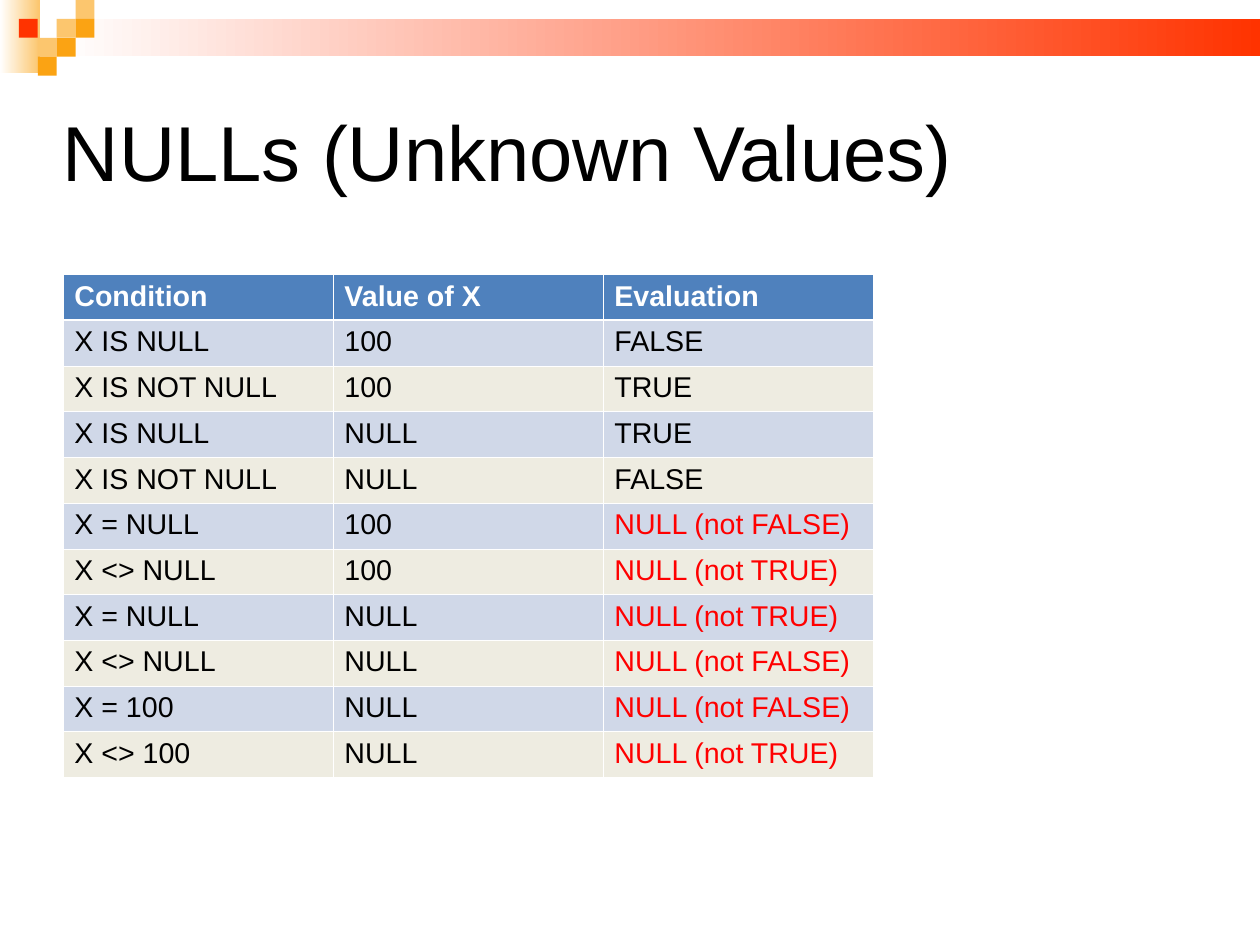
import pptx
import pptx.dml.color
import pptx.enum.shapes
import pptx.enum.text
import pptx.oxml
import pptx.oxml.ns
import pptx.util

Cm = pptx.util.Cm
Pt = pptx.util.Pt


def rgb(value):
    return pptx.dml.color.RGBColor.from_string(value)


def add_rect(shapes, x, y, w, h, color, fade=False):
    sp = shapes.add_shape(pptx.enum.shapes.MSO_SHAPE.RECTANGLE,
                          Cm(x), Cm(y), Cm(w), Cm(h))
    sp.shadow.inherit = False
    sp.line.fill.background()
    if fade:
        sp.fill.gradient()
        sp.fill.gradient_angle = 0
        for stop, stop_color in zip(sp.fill.gradient_stops, ("FFFFFF", color)):
            stop.color.rgb = rgb(stop_color)
    else:
        sp.fill.solid()
        sp.fill.fore_color.rgb = rgb(color)


prs = pptx.Presentation()
prs.slide_width = Cm(28)
prs.slide_height = Cm(21)
s = prs.slides.add_slide(prs.slide_layouts[5])

# Header band and squares on a grid
add_rect(s.shapes, 0, 0, 0.88, 1.62, "FCC66E", fade=True)
add_rect(s.shapes, 1.26, 0.42, 26.74, 0.83, "FF3300", fade=True)
unit = 0.42
squares = [
    (3, 1, "FCC66E"), (4, 0, "FCC66E"), (4, 1, "FBA313"), (2, 2, "FCC66E"),
    (1, 1, "FF3300"), (3, 2, "FBA313"), (2, 3, "FBA313"),
]
for col, row, color in squares:
    add_rect(s.shapes, col * unit, row * unit, unit, unit, color)

# Title
title = s.shapes.title
title.left, title.top, title.width, title.height = Cm(1.4), Cm(1.4), Cm(25.2), Cm(4.19)
tf = title.text_frame
tf.word_wrap = True
tf.auto_size = pptx.enum.text.MSO_AUTO_SIZE.NONE
tf.vertical_anchor = pptx.enum.text.MSO_ANCHOR.MIDDLE
tf.margin_left = tf.margin_top = tf.margin_right = tf.margin_bottom = 0
p = tf.paragraphs[0]
p.alignment = pptx.enum.text.PP_ALIGN.LEFT
p.line_spacing = 0.87
r = p.add_run()
r.text = "NULLs (Unknown Values)"
r.font.name = "Arial"
r.font.size = Pt(49)
r.font.color.rgb = rgb("000000")

# Table of conditions
rows = [
    ("Condition", "Value of X", "Evaluation"),
    ("X IS NULL", "100", "FALSE"),
    ("X IS NOT NULL", "100", "TRUE"),
    ("X IS NULL", "NULL", "TRUE"),
    ("X IS NOT NULL", "NULL", "FALSE"),
    ("X = NULL", "100", "NULL (not FALSE)"),
    ("X <> NULL", "100", "NULL (not TRUE)"),
    ("X = NULL", "NULL", "NULL (not TRUE)"),
    ("X <> NULL", "NULL", "NULL (not FALSE)"),
    ("X = 100", "NULL", "NULL (not FALSE)"),
    ("X <> 100", "NULL", "NULL (not TRUE)"),
]
table = s.shapes.add_table(len(rows), 3, Cm(1.4), Cm(6.1), Cm(18), Cm(11.18)).table

for i, row in enumerate(rows):
    for j, text in enumerate(row):
        cell = table.cell(i, j)

        # White borders, thicker under the header
        tc_pr = cell._tc.get_or_add_tcPr()
        for side in "LRTB":
            thick = (i, side) in ((0, "B"), (1, "T"))
            width = Pt(1.47 if thick else 0.45)
            tc_pr.append(pptx.oxml.parse_xml(
                f'<a:ln{side} {pptx.oxml.ns.nsdecls("a")} w="{width}"><a:solidFill>'
                f'<a:srgbClr val="FFFFFF"/></a:solidFill></a:ln{side}>'))

        cell.fill.solid()
        if i == 0:
            fill, color = "4F81BD", "FFFFFF"
        else:
            fill = "D0D8E8" if i % 2 else "EEECE1"
            color = "FF0000" if "not" in text else "000000"
        cell.fill.fore_color.rgb = rgb(fill)

        r = cell.text_frame.paragraphs[0].add_run()
        r.text = text
        r.font.name = "Arial"
        r.font.size = Pt(18)
        r.font.bold = i == 0
        r.font.color.rgb = rgb(color)

prs.save("out.pptx")
